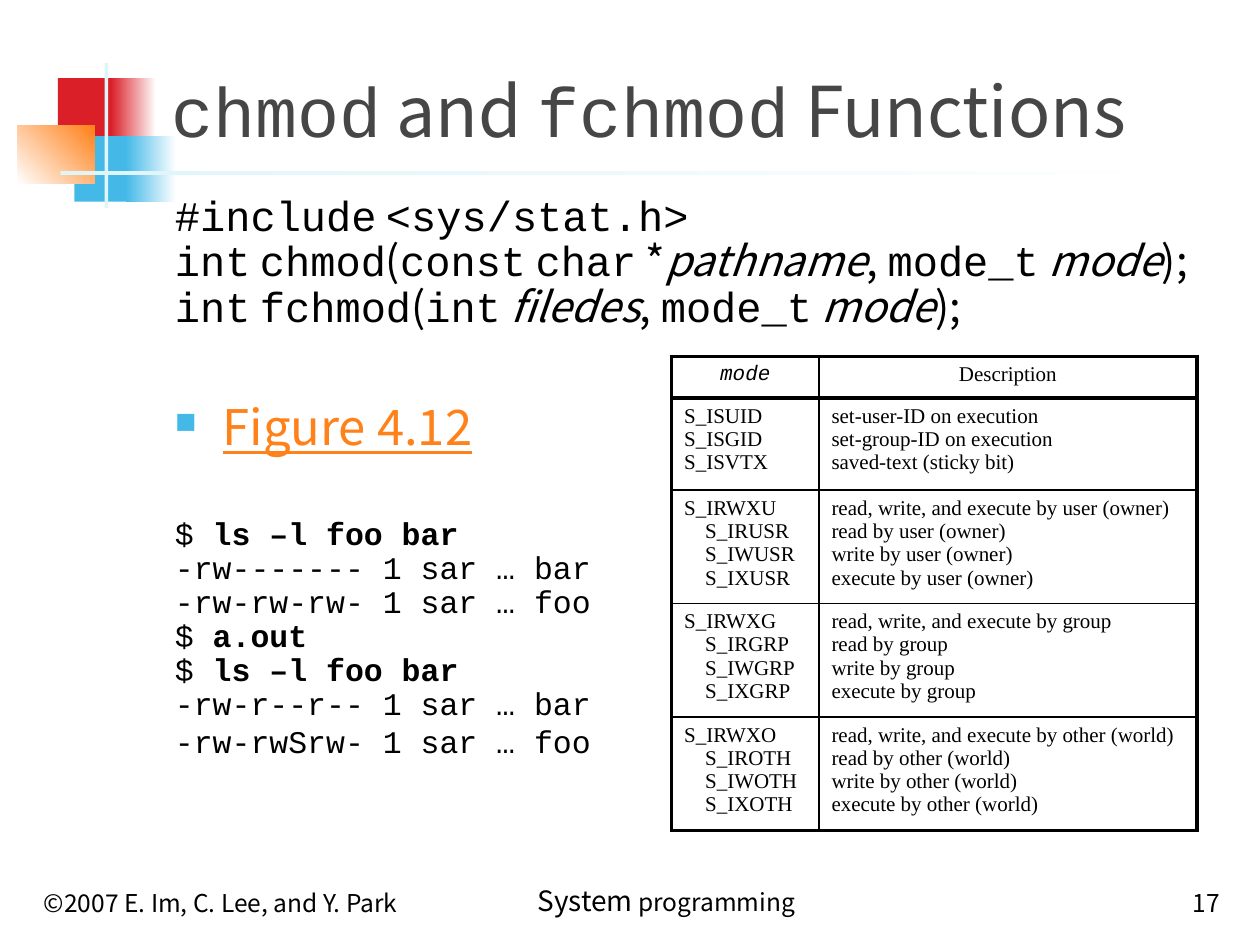
from lxml import etree
from pptx import Presentation
from pptx.dml.color import RGBColor
from pptx.enum.shapes import MSO_SHAPE
from pptx.enum.text import MSO_ANCHOR, PP_ALIGN
from pptx.oxml.ns import qn
from pptx.util import Inches, Pt

RECTANGLE = MSO_SHAPE.RECTANGLE
TOP, BOTTOM = MSO_ANCHOR.TOP, MSO_ANCHOR.BOTTOM
LEFT, CENTER, RIGHT = PP_ALIGN.LEFT, PP_ALIGN.CENTER, PP_ALIGN.RIGHT
MONO, SANS, SERIF = "Courier New", "Noto Sans CJK KR", "Times New Roman"
COLORS = {
    "black": "000000", "white": "FFFFFF", "title": "464646", "red": "DA1F28",
    "blue": "44B9E8", "orange": "FF8119", "pale": "DEF5FA",
}

presentation = Presentation()
presentation.slide_width, presentation.slide_height = Inches(10), Inches(7.5)
slide = presentation.slides.add_slide(presentation.slide_layouts[6])
UNIT = presentation.slide_width / 100  # grid of 100 columns and 75 rows


def grid(*steps):
    """Turn grid steps into slide lengths."""
    return [round(step * UNIT) for step in steps]


def add_runs(paragraph, runs, size, color="black"):
    """Add (text, font, style) runs; style holds any of the letters b, i, u."""
    for text, font, style in runs:
        run = paragraph.add_run()
        run.text = text
        run.font.name, run.font.size = font, Pt(size)
        run.font.color.rgb = RGBColor.from_string(COLORS[color])
        run.font.bold, run.font.italic = "b" in style, "i" in style
        run.font.underline = "u" in style


# Corner ornament: place, colours from start to end, gradient angle
ornament = [
    ((4.6, 6.2, 4.8, 5.2), ["red"], 0),
    ((8.8, 6.2, 3.6, 5.2), ["red", "white"], 0),
    ((5.9, 10.8, 4.6, 5.2), ["blue"], 0),
    ((10, 10.8, 4, 5.2), ["blue", "white"], 0),
    ((1.4, 10, 6.1, 4.6), ["white", "orange"], 45),
    ((8.3, 5, 0.3, 11.5), ["pale"], 0),
    ((4.8, 13.6, 90, 0.3), ["pale", "white"], 0),
]
for place, colors, angle in ornament:
    shape = slide.shapes.add_shape(RECTANGLE, *grid(*place))
    shape.shadow.inherit = False
    shape.line.fill.background()
    if len(colors) == 1:
        shape.fill.solid()
        shape.fill.fore_color.rgb = RGBColor.from_string(COLORS[colors[0]])
    else:
        shape.fill.gradient()
        shape.fill.gradient_angle = angle
        for stop, color in zip(shape.fill.gradient_stops, colors):
            stop.color.rgb = RGBColor.from_string(COLORS[color])

# Text boxes: place, anchor, paragraphs of
# (runs, size, colour, alignment, space before, line spacing)
space = (" ", SANS, "")
mode_arguments = [
    (", ", SANS, ""), ("mode_t", MONO, ""), space,
    ("mode", SANS, "i"), (");", SANS, ""),
]
prototypes = [
    [("#include", MONO, ""), space, ("<sys/stat.h>", MONO, "")],
    [("int", MONO, ""), space, ("chmod", MONO, ""), ("(", SANS, ""),
     ("const", MONO, ""), space, ("char", MONO, ""), (" *", SANS, ""),
     ("pathname", SANS, "i")] + mode_arguments,
    [("int", MONO, ""), space, ("fchmod", MONO, ""), ("(", SANS, ""),
     ("int", MONO, ""), space, ("filedes", SANS, "i")] + mode_arguments,
]
prompt = ("$ ", MONO, "")
list_files = [prompt, ("ls –l foo bar", MONO, "b")]
session = [
    list_files,
    [("-rw------- 1 sar … bar", MONO, "")],
    [("-rw-rw-rw- 1 sar … foo", MONO, "")],
    [prompt, ("a.out", MONO, "b")],
    list_files,
    [("-rw-r--r-- 1 sar … bar", MONO, "")],
    [("-rw-rwSrw- 1 sar … foo", MONO, "")],
]
title = [("chmod", MONO, ""), (" and ", SANS, ""),
         ("fchmod", MONO, ""), (" Functions", SANS, "")]
figure_link = [("Figure 4.12", SANS, "u")]
body = [(runs, 24, "black", LEFT, 0, 0.9) for runs in prototypes]
body.append((figure_link, 28, "orange", LEFT, 41, 0.9))
for index, runs in enumerate(session):
    before = 35.6 if index == 0 else 0
    spacing = 1 if index == len(session) - 1 else 0.9
    body.append((runs, 18, "black", LEFT, before, spacing))

text_boxes = [
    ((12.6, 2.3, 85.2, 10.2), BOTTOM, [(title, 40, "title", LEFT, 0, 1)]),
    ((12.9, 15, 85, 52.1), TOP, body),
    ((2.5, 68.3, 31.1, 5), BOTTOM,
     [([("©2007 E. Im, C. Lee, and Y. Park", SANS, "")], 14, "black", LEFT, 0, 1)]),
    ((35, 68.3, 35.8, 5), BOTTOM, [([("System", SANS, "")], 16, "black", CENTER, 0, 1)]),
    ((77, 68.3, 20.8, 5), BOTTOM, [([("17", SANS, "")], 14, "black", RIGHT, 0, 1)]),
]
for place, anchor, paragraphs in text_boxes:
    frame = slide.shapes.add_textbox(*grid(*place)).text_frame
    frame.word_wrap, frame.vertical_anchor = True, anchor
    for index, (runs, size, color, alignment, before, spacing) in enumerate(paragraphs):
        paragraph = frame.add_paragraph() if index else frame.paragraphs[0]
        paragraph.alignment = alignment
        paragraph.space_before, paragraph.line_spacing = Pt(before), spacing
        add_runs(paragraph, runs, size, color)
        if runs == [("System", SANS, "")]:
            add_runs(paragraph, [(" programming", SANS, "")], 14)
        if runs is figure_link:
            properties = paragraph._p.get_or_add_pPr()
            indent = grid(3.8)[0]
            properties.set("marL", str(indent))
            properties.set("indent", str(-indent))
            bullet_color = etree.SubElement(properties, qn("a:buClr"))
            etree.SubElement(bullet_color, qn("a:srgbClr"), val=COLORS["blue"])
            etree.SubElement(properties, qn("a:buSzPct"), val="60000")
            etree.SubElement(properties, qn("a:buChar"), char="■")

# Table of mode bits
rows = [
    (["mode"], ["Description"]),
    (["S_ISUID", "S_ISGID", "S_ISVTX"],
     ["set-user-ID on execution", "set-group-ID on execution", "saved-text (sticky bit)"]),
]
for suffix, who in [("USR", "user (owner)"), ("GRP", "group"), ("OTH", "other (world)")]:
    names = ["S_IRWX" + suffix[0]] + [f"S_I{letter}{suffix}" for letter in "RWX"]
    actions = ["read, write, and execute", "read", "write", "execute"]
    rows.append((names, [f"{action} by {who}" for action in actions]))

column_widths = grid(11.7, 30)
row_heights = grid(3.3, 7.3, 8.4, 8.4, 8.4)
table = slide.shapes.add_table(
    len(rows), 2, *grid(53.3, 28.3), sum(column_widths), sum(row_heights)).table
table.first_row = table.horz_banding = False
for column, width in zip(table.columns, column_widths):
    column.width = width
for row_index, row in enumerate(rows):
    table.rows[row_index].height = row_heights[row_index]
    for column_index, lines in enumerate(row):
        cell = table.cell(row_index, column_index)
        for index, line in enumerate(lines):
            frame = cell.text_frame
            paragraph = frame.add_paragraph() if index else frame.paragraphs[0]
            if row_index == 0:
                paragraph.alignment, paragraph.space_before = CENTER, Pt(2.4)
            if row_index > 1 and column_index == 0 and index:
                paragraph._p.get_or_add_pPr().set("marL", str(Pt(12)))
            font, style = (MONO, "i") if line == "mode" else (SERIF, "")
            add_runs(paragraph, [(line, font, style)], 12)
        thick_sides = {
            "a:lnL": column_index == 0,
            "a:lnR": column_index == 1,
            "a:lnT": row_index < 2,
            "a:lnB": row_index in (0, len(rows) - 1),
        }
        cell_properties = cell._tc.get_or_add_tcPr()
        for side, thick in thick_sides.items():
            border = etree.SubElement(
                cell_properties, qn(side), w=str(Pt(2.25 if thick else 1)))
            fill = etree.SubElement(border, qn("a:solidFill"))
            etree.SubElement(fill, qn("a:srgbClr"), val=COLORS["black"])
        cell.fill.background()

presentation.save("out.pptx")
